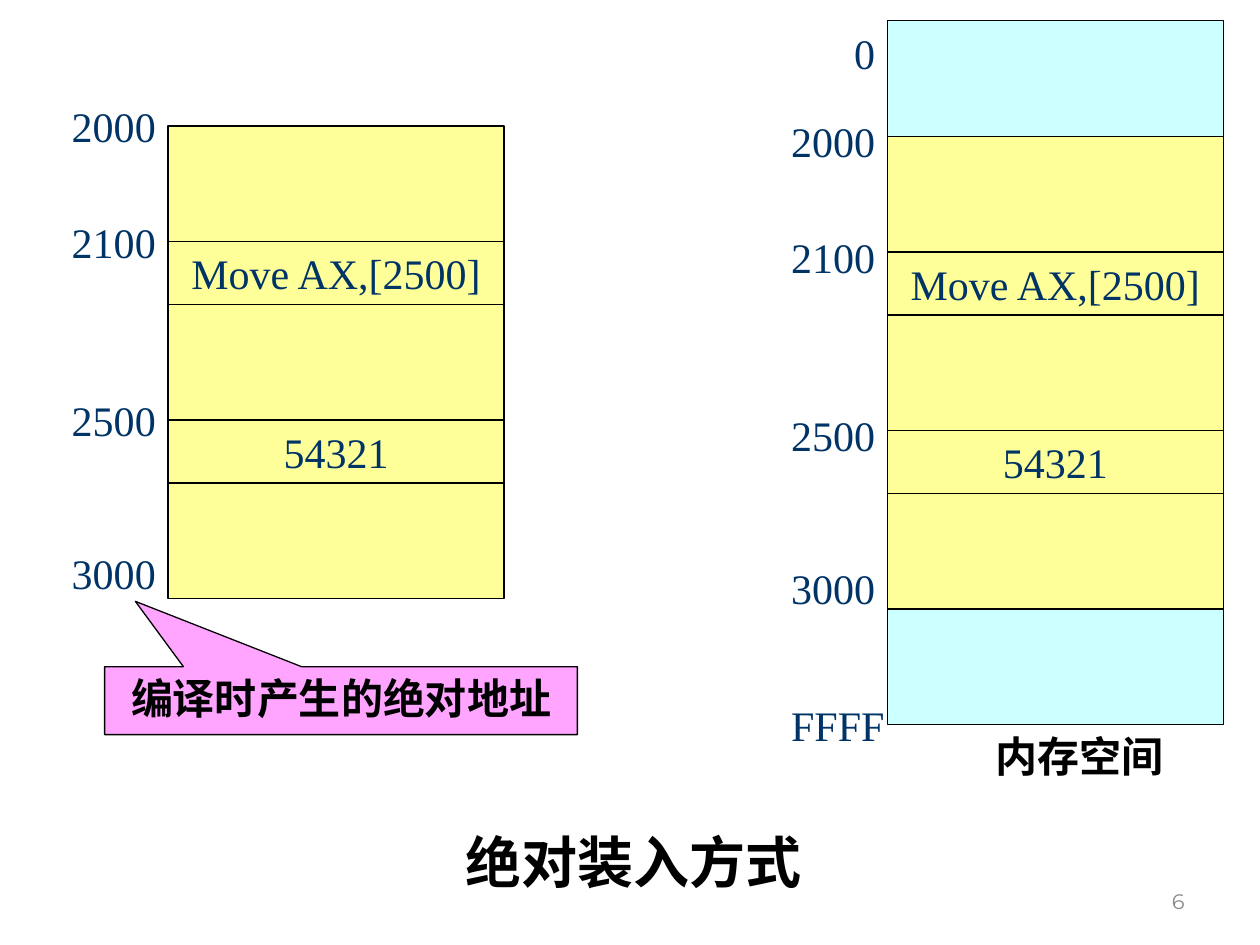
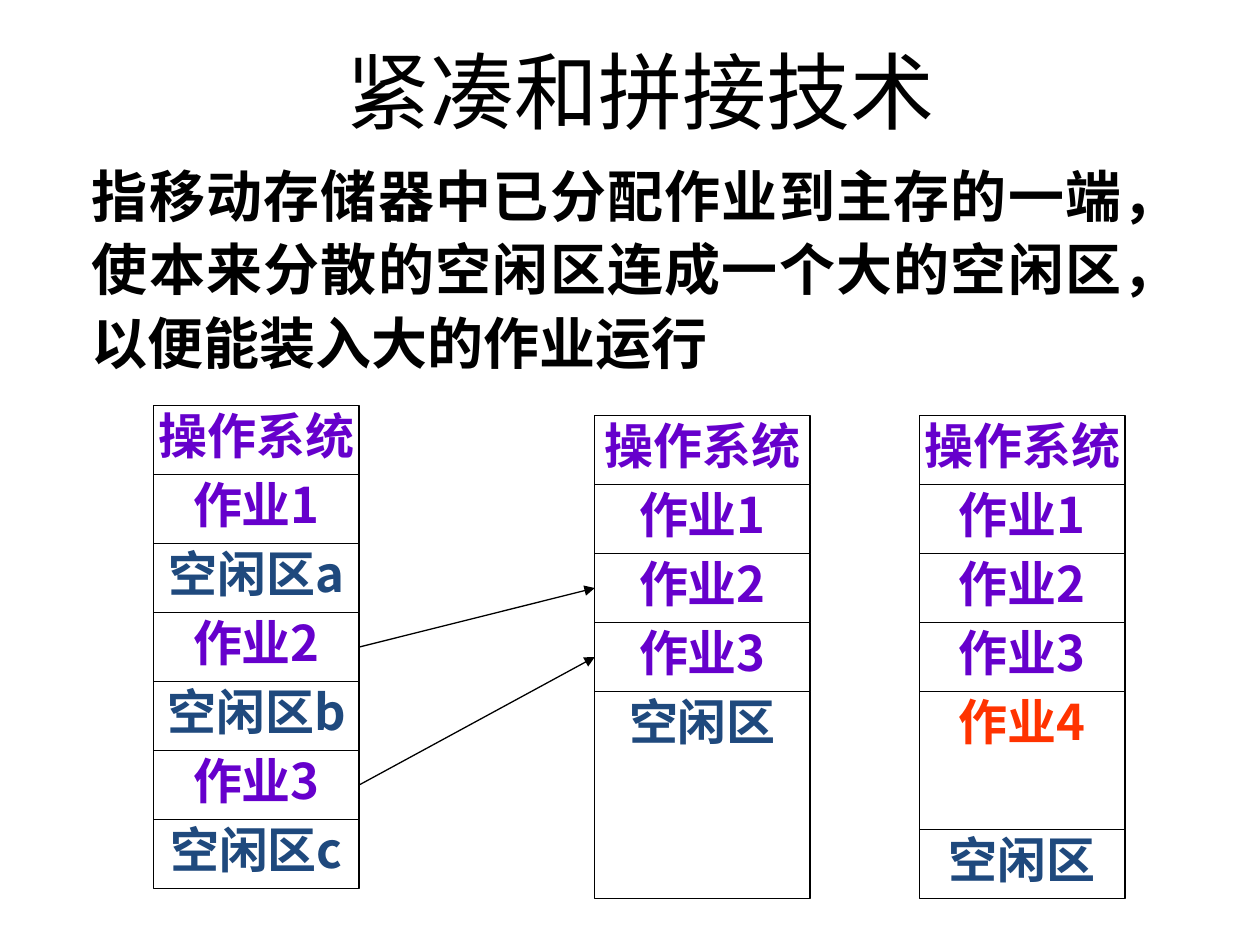
"""Build two slides on absolute loading and memory compaction."""
from dataclasses import dataclass

from lxml import etree
from pptx import Presentation
from pptx import util as u
from pptx.dml.color import RGBColor
from pptx.enum import shapes, text
from pptx.oxml.ns import qn

ALIGN = text.PP_ALIGN
ANCHOR = text.MSO_ANCHOR


@dataclass(frozen=True)
class Theme:
    """Colours, fonts and type sizes shared by the slides."""
    black: str = "000000"
    white: str = "FFFFFF"
    program: str = "FFFF99"
    memory: str = "CCFFFF"
    callout: str = "FFA5FF"
    address: str = "003366"
    job: str = "6600CC"
    new_job: str = "FF3300"
    free: str = "1F497D"
    number: str = "898989"
    serif: str = "Times New Roman"
    sans: str = "Arial"
    heading: str = "Calibri"
    chinese: str = "Noto Sans CJK SC"
    number_font: str = "Montserrat"
    title_size: int = 48
    lead_size: int = 32
    cell_size: int = 28
    label_size: int = 24
    number_size: int = 12
    line_width: float = 0.75


@dataclass(frozen=True)
class Block:
    """A memory block, with the address beside it and how far that sits down."""
    height: float
    fill: str
    content: str = ""
    address: str = ""
    drop: float = 0


THEME = Theme()
TALL, SHORT = 2.33, 1.27
BLOCK_WIDTH, LABEL_WIDTH = 6.77, 2.96
CELL_HEIGHT = 1.39

PROGRAM = [
    Block(TALL, THEME.program, address="2000"),
    Block(SHORT, THEME.program, "Move AX,[2500]", "2100"),
    Block(TALL, THEME.program),
    Block(SHORT, THEME.program, "54321", "2500"),
    Block(TALL, THEME.program, address="3000", drop=1.81),
]
MEMORY = [
    Block(TALL, THEME.memory, address="0", drop=0.54),
    *PROGRAM,
    Block(TALL, THEME.memory),
]


def centimetres(*lengths):
    """Turn plain numbers into lengths."""
    return [u.Cm(length) for length in lengths]


def write(shape, content, size, font, color=THEME.black, bold=False,
          align=ALIGN.LEFT, anchor=ANCHOR.TOP, wrap=True, spacing=None):
    """Put one formatted paragraph into a shape."""
    frame = shape.text_frame
    frame.text = content
    frame.auto_size = text.MSO_AUTO_SIZE.NONE
    frame.word_wrap = wrap
    frame.vertical_anchor = anchor
    paragraph = frame.paragraphs[0]
    paragraph.alignment = align
    paragraph.line_spacing = spacing
    for run in paragraph.runs:
        run.font.size = u.Pt(size)
        run.font.name = font
        run.font.bold = bold
        run.font.color.rgb = RGBColor.from_string(color)
        latin = run.font._element.find(qn("a:latin"))
        east_asian = etree.Element(qn("a:ea"), typeface=THEME.chinese)
        latin.addnext(east_asian)


def place(shape, left, top, width, height):
    """Move and resize a placeholder."""
    shape.left, shape.top, shape.width, shape.height = centimetres(left, top, width, height)


def add_text(slide, box, content, size, font, **style):
    """Add a text box."""
    write(slide.shapes.add_textbox(*centimetres(*box)), content, size, font, **style)


def add_box(slide, box, fill, kind=shapes.MSO_SHAPE.RECTANGLE):
    """Add a filled shape with a thin black outline."""
    shape = slide.shapes.add_shape(kind, *centimetres(*box))
    shape.shadow.inherit = False
    shape.fill.solid()
    shape.fill.fore_color.rgb = RGBColor.from_string(fill)
    shape.line.color.rgb = RGBColor.from_string(THEME.black)
    shape.line.width = u.Pt(THEME.line_width)
    return shape


def add_memory(slide, left, top, blocks, label_shift):
    """Stack memory blocks with their addresses on the left."""
    for block in blocks:
        shape = add_box(slide, (left, top, BLOCK_WIDTH, block.height), block.fill)
        if block.content:
            write(shape, block.content, THEME.label_size, THEME.serif, THEME.address,
                  align=ALIGN.CENTER, anchor=ANCHOR.MIDDLE, wrap=False)
        if block.address:
            label_top = top + block.drop - label_shift
            add_text(slide, (left - LABEL_WIDTH, label_top, LABEL_WIDTH, SHORT),
                     block.address, THEME.label_size, THEME.serif,
                     color=THEME.address, align=ALIGN.RIGHT)
        top += block.height


def add_callout(slide, box, tip, content):
    """Add a rectangular callout whose tip lies at the given adjustments."""
    shape = add_box(slide, box, THEME.callout, shapes.MSO_SHAPE.RECTANGULAR_CALLOUT)
    for index, value in enumerate(tip):
        shape.adjustments[index] = value
    write(shape, content, THEME.label_size, THEME.serif, bold=True, align=ALIGN.CENTER)


def cell_color(content):
    """Choose the text colour of a partition by its content."""
    if content.startswith("空闲区"):
        return THEME.free
    return THEME.new_job if content == "作业4" else THEME.job


def add_partitions(slide, left, top, width, partitions):
    """Stack partitions given as (name, number of units) and return the shapes."""
    cells = []
    for content, units in partitions:
        height = units * CELL_HEIGHT
        cell = add_box(slide, (left, top, width, height), THEME.white)
        frame = cell.text_frame
        frame.margin_left = frame.margin_right = frame.margin_top = frame.margin_bottom = 0
        write(cell, content, THEME.cell_size, THEME.chinese, cell_color(content),
              bold=True, align=ALIGN.CENTER)
        cells.append(cell)
        top += height
    return cells


def add_arrow(slide, source, target):
    """Join the right side of one cell to the left side of another."""
    connector = slide.shapes.add_connector(shapes.MSO_CONNECTOR.STRAIGHT, 0, 0, 0, 0)
    connector.begin_connect(source, 3)
    connector.end_connect(target, 1)
    connector.line.color.rgb = RGBColor.from_string(THEME.black)
    connector.line.width = u.Pt(THEME.line_width)
    etree.SubElement(connector.line._get_or_add_ln(), qn("a:tailEnd"), type="triangle")
    etree.SubElement(connector._element.spPr, qn("a:effectLst"))


def build_absolute_loading(slide):
    """Show a program loaded at the addresses fixed by the compiler."""
    title = slide.shapes.title
    place(title, 9.12, 16.56, 7.29, 1.63)
    write(title, "绝对装入方式", THEME.lead_size, THEME.sans, bold=True, wrap=False)
    add_memory(slide, 3.39, 2.54, PROGRAM, 0.64)
    add_callout(slide, (2.11, 13.44, 9.53, 1.37), (-0.435, -1.462), "编译时产生的绝对地址")
    add_memory(slide, 17.89, 0.42, MEMORY, 0.54)
    add_text(slide, (15.7, 13.97, 2.39, SHORT), "FFFF", THEME.label_size, THEME.serif,
             color=THEME.address, wrap=False)
    add_text(slide, (19.81, 14.61, 4.88, SHORT), "内存空间", THEME.label_size, THEME.sans,
             bold=True)
    add_text(slide, (18.21, 17.65, 5.92, 1.02), "6", THEME.number_size, THEME.number_font,
             color=THEME.number, align=ALIGN.RIGHT, anchor=ANCHOR.MIDDLE)


def build_compaction(slide):
    """Show how moving jobs together merges the free areas."""
    title = slide.shapes.title
    place(title, 2.11, 0.71, 21.59, 2.46)
    write(title, "紧凑和拼接技术", THEME.title_size, THEME.heading,
          align=ALIGN.CENTER, anchor=ANCHOR.MIDDLE, spacing=0.9)
    add_text(slide, (1.6, 3, 22.43, 4.7),
             "指移动存储器中已分配作业到主存的一端，使本来分散的空闲区连成一个大的空闲区，"
             "以便能装入大的作业运行",
             THEME.lead_size, THEME.serif, bold=True, align=ALIGN.JUSTIFY, spacing=u.Pt(42))
    scattered = ["操作系统", "作业1", "空闲区a", "作业2", "空闲区b", "作业3", "空闲区c"]
    packed = [(name, 1) for name in ("操作系统", "作业1", "作业2", "作业3")]
    before = add_partitions(slide, 3.1, 8.18, 4.14, [(name, 1) for name in scattered])
    after = add_partitions(slide, 11.99, 8.38, 4.34, packed + [("空闲区", 3)])
    add_partitions(slide, 18.54, 8.38, 4.14, packed + [("作业4", 2), ("空闲区", 1)])
    for source, target in ((3, 2), (5, 3)):
        add_arrow(slide, before[source], after[target])


def main():
    """Build and save the presentation."""
    presentation = Presentation()
    presentation.slide_width, presentation.slide_height = centimetres(25.4, 19.05)
    title_only = presentation.slide_layouts[5]
    for build in (build_absolute_loading, build_compaction):
        build(presentation.slides.add_slide(title_only))
    presentation.save("out.pptx")


if __name__ == "__main__":
    main()
